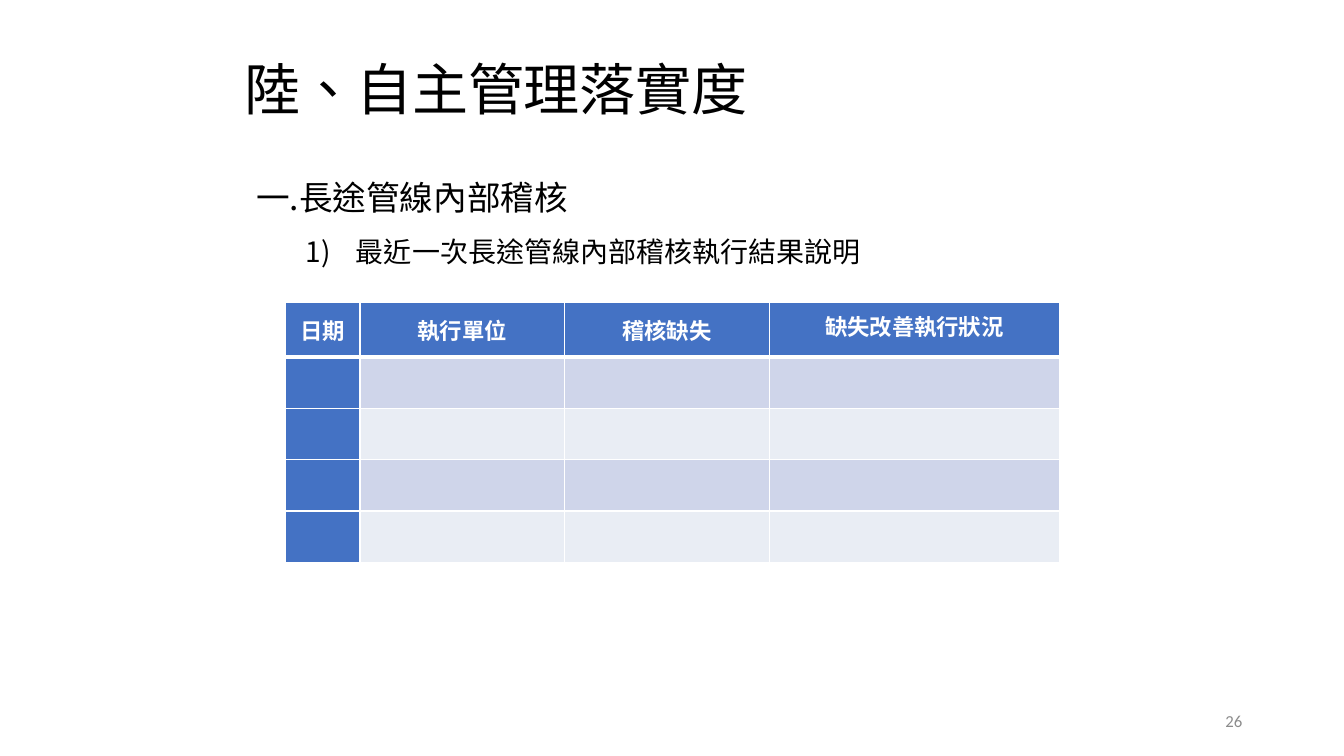
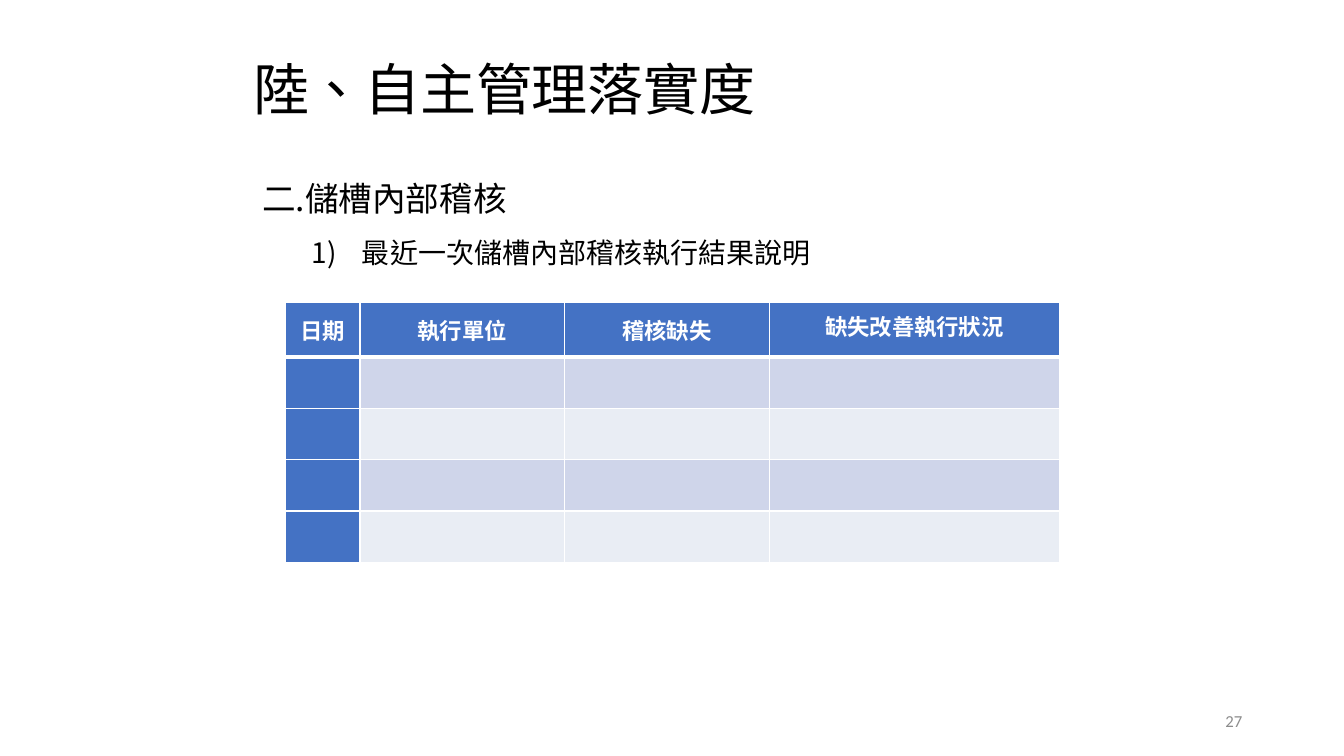
import dataclasses

import pptx
import pptx.dml.color
import pptx.enum.text
import pptx.oxml.ns
import pptx.util
from lxml import etree

Inches = pptx.util.Inches
Pt = pptx.util.Pt
ALIGN = pptx.enum.text.PP_ALIGN
MIDDLE = pptx.enum.text.MSO_ANCHOR.MIDDLE
GROW = pptx.enum.text.MSO_AUTO_SIZE.SHAPE_TO_FIT_TEXT


@dataclasses.dataclass(frozen=True)
class Theme:
    font: str = "Noto Sans CJK SC"
    number_font: str = "Calibri"
    ink: str = "000000"
    muted: str = "8C8C8C"
    white: str = "FFFFFF"
    accent: str = "4472C4"
    bands: tuple = ("CFD5EA", "E9EDF4")
    title_size: int = 40
    heading_size: int = 24
    item_size: int = 20
    table_size: int = 16
    number_size: int = 12
    rule: int = 1
    header_rule: int = 3


THEME = Theme()
TITLE = "陸、自主管理落實度"
HEADERS = ("日期", "執行單位", "稽核缺失", "缺失改善執行狀況")
COLUMN_WIDTHS = (0.74, 2.03, 2.03, 2.88)
ROW_HEIGHTS = (0.54, 0.51, 0.51, 0.51, 0.51)
TABLE_BOX = (2.83, 3, 7.68, 2.58)
NUMBER_BOX = (9.42, 6.95, 3, 0.4)

# Page number, title box, outline box, heading, item
AUDITS = (
    (26, (2.42, 0.61, 7.63, 0.61), (2.44, 1.53, 8.25, 1.15),
     "一.長途管線內部稽核", "最近一次長途管線內部稽核執行結果說明"),
    (27, (2.5, 0.61, 7.63, 0.61), (2.5, 1.54, 7.83, 1.15),
     "二.儲槽內部稽核", "最近一次儲槽內部稽核執行結果說明"),
)


def rgb(value):
    return pptx.dml.color.RGBColor.from_string(value)


def sub(parent, tag, **attributes):
    return etree.SubElement(parent, pptx.oxml.ns.qn(tag), attributes)


def add_run(paragraph, text, size, color=THEME.ink, font=THEME.font, bold=False):
    run = paragraph.add_run()
    run.text = text
    run.font.size = Pt(size)
    run.font.bold = bold
    run.font.color.rgb = rgb(color)
    run.font.name = font
    properties = run.font._element
    properties.set("lang", "zh-TW")
    properties.set("altLang", "en-US")
    sub(properties, "a:ea", typeface=font)
    return run


def place(shape, box):
    shape.left, shape.top, shape.width, shape.height = map(Inches, box)


def set_margins(target, left, top, right, bottom):
    target.margin_left, target.margin_top = Inches(left), Inches(top)
    target.margin_right, target.margin_bottom = Inches(right), Inches(bottom)


def add_title(slide, box):
    title = slide.shapes.title
    place(title, box)
    frame = title.text_frame
    set_margins(frame, 0.01, 0, 0, 0)
    frame.vertical_anchor = MIDDLE
    frame.auto_size = GROW
    paragraph = frame.paragraphs[0]
    paragraph.alignment = ALIGN.LEFT
    paragraph.line_spacing = 0.9
    run = add_run(paragraph, TITLE, THEME.title_size)
    run.font._element.set("spc", "-10")


def add_outline(slide, box, heading, item):
    outline = slide.placeholders[1]
    place(outline, box)
    frame = outline.text_frame
    frame.vertical_anchor = MIDDLE
    frame.auto_size = GROW

    # Heading without a bullet, then a numbered item with a hanging indent
    levels = (
        (frame.paragraphs[0], heading, THEME.heading_size, 0, 0, "a:buNone", {}),
        (frame.add_paragraph(), item, THEME.item_size, 0.99, -0.5,
         "a:buAutoNum", {"type": "arabicParenR"}),
    )
    for paragraph, text, size, margin, indent, bullet, options in levels:
        properties = paragraph._p.get_or_add_pPr()
        properties.set("marL", str(Inches(margin)))
        properties.set("indent", str(Inches(indent)))
        if options:
            sub(properties, "a:buFont", typeface="+mj-lt")
        sub(properties, bullet, **options)
        paragraph.line_spacing = 1.5
        paragraph.space_before = Pt(0)
        add_run(paragraph, text, size)


def style_cell(cell, fill, top, bottom):
    properties = cell._tc.get_or_add_tcPr()
    sides = (("L", THEME.rule), ("R", THEME.rule), ("T", top), ("B", bottom))
    for side, width in sides:
        line = sub(properties, "a:ln" + side, w=str(Pt(width)))
        sub(sub(line, "a:solidFill"), "a:srgbClr", val=THEME.white)
    cell.fill.solid()
    cell.fill.fore_color.rgb = rgb(fill)
    cell.vertical_anchor = MIDDLE
    set_margins(cell, 0.07, 0, 0.07, 0)


def add_audit_table(slide, box):
    table = slide.shapes.add_table(
        len(ROW_HEIGHTS), len(HEADERS), *map(Inches, box)).table
    for column, width in zip(table.columns, COLUMN_WIDTHS):
        column.width = Inches(width)
    for r, height in enumerate(ROW_HEIGHTS):
        table.rows[r].height = Inches(height)
        for c in range(len(HEADERS)):
            accented = r == 0 or c == 0
            style_cell(
                table.cell(r, c),
                THEME.accent if accented else THEME.bands[(r - 1) % 2],
                THEME.header_rule if r == 1 else THEME.rule,
                THEME.header_rule if r == 0 else THEME.rule)

    # Header labels
    for c, label in enumerate(HEADERS):
        paragraph = table.cell(0, c).text_frame.paragraphs[0]
        paragraph.alignment = ALIGN.CENTER
        add_run(paragraph, label, THEME.table_size, THEME.white, bold=True)
    paragraph.line_spacing = Pt(18)  # the last, longest label is set tighter


def add_page_number(slide, box, number):
    frame = slide.shapes.add_textbox(*map(Inches, box)).text_frame
    frame.word_wrap = True
    frame.vertical_anchor = MIDDLE
    paragraph = frame.paragraphs[0]
    paragraph.alignment = ALIGN.RIGHT
    add_run(paragraph, str(number), THEME.number_size, THEME.muted,
            THEME.number_font)


def add_audit_slide(deck, number, title_box, outline_box, heading, item):
    slide = deck.slides.add_slide(deck.slide_layouts[1])
    add_title(slide, title_box)
    add_page_number(slide, NUMBER_BOX, number)
    add_outline(slide, outline_box, heading, item)
    add_audit_table(slide, TABLE_BOX)


def main():
    deck = pptx.Presentation()
    deck.slide_width, deck.slide_height = Inches(13.33), Inches(7.5)
    for audit in AUDITS:
        add_audit_slide(deck, *audit)
    deck.save("out.pptx")


if __name__ == "__main__":
    main()
